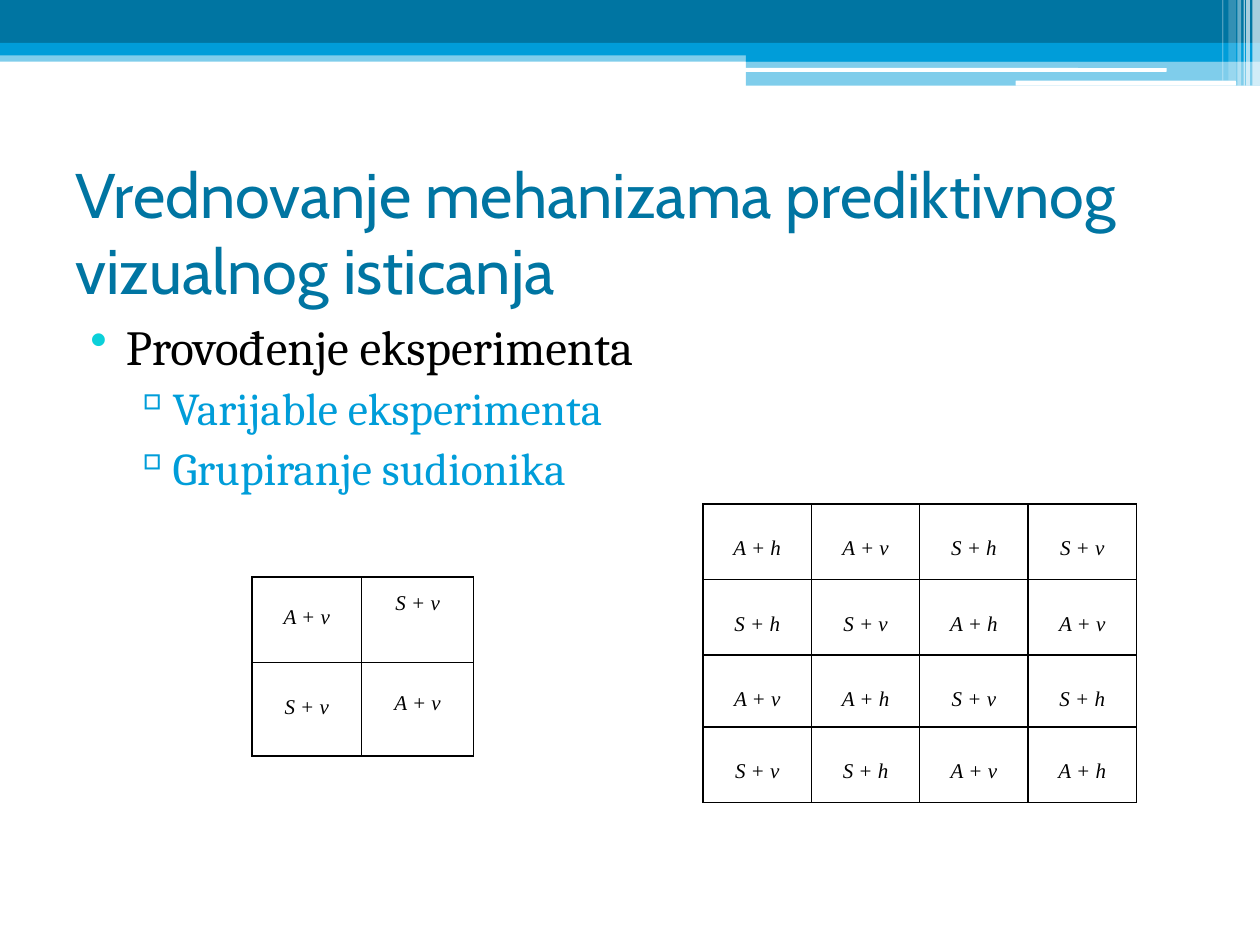
from lxml.etree import SubElement
from pptx import Presentation
from pptx.dml.color import RGBColor as RGB
from pptx.enum.shapes import MSO_SHAPE as SHAPE
from pptx.enum.text import MSO_ANCHOR as ANCHOR, MSO_AUTO_SIZE as AUTO, PP_ALIGN as ALIGN
from pptx.oxml.ns import qn
from pptx.util import Inches, Pt

COLORS = {
    "navy": "0075A2",
    "blue": "009DD9",
    "cyan": "0BD0D9",
    "white": "FFFFFF",
    "black": "000000",
}


class SlideBuilder:
    title_font = "Cabin"
    body_font = "Cambria"
    table_font = "Times New Roman"

    def __init__(self, prs):
        self.s = prs.slides.add_slide(prs.slide_layouts[5])

    def run(self, p, text, font, size, color, italic=False):
        r = p.add_run()
        r.text = text
        r.font.name = font
        r.font.size = Pt(size)
        r.font.italic = italic
        r.font.color.rgb = RGB.from_string(COLORS[color])

    def bar(self, x, y, w, h, color, alpha=100, kind=SHAPE.RECTANGLE):
        sp = self.s.shapes.add_shape(kind, Inches(x), Inches(y), Inches(w), Inches(h))
        sp.shadow.inherit = False
        sp.fill.solid()
        sp.fill.fore_color.rgb = RGB.from_string(COLORS[color])
        sp.line.fill.background()
        if alpha < 100:
            clr = sp.fill._xPr.find(".//" + qn("a:srgbClr"))
            SubElement(clr, qn("a:alpha"), val=str(alpha * 1000))

    def title(self, text, x, y, w, h):
        sp = self.s.shapes.title
        sp.left, sp.top, sp.width, sp.height = (Inches(v) for v in (x, y, w, h))
        tf = sp.text_frame
        tf.auto_size = AUTO.NONE
        tf.vertical_anchor = ANCHOR.MIDDLE
        p = tf.paragraphs[0]
        p.alignment = ALIGN.LEFT
        self.run(p, text, self.title_font, 36, "navy")

    def bullets(self, items, x, y, w, h):
        levels = [
            (0.4, -0.28, "•", "cyan", 28, "black"),
            (0.72, -0.27, "▫", "blue", 26, "blue"),
        ]
        sp = self.s.shapes.add_textbox(Inches(x), Inches(y), Inches(w), Inches(h))
        tf = sp.text_frame
        tf.word_wrap = True
        for i, (level, text) in enumerate(items):
            margin, indent, mark, mark_color, size, color = levels[level]
            p = tf.add_paragraph() if i else tf.paragraphs[0]
            p.level = level
            p.space_before = Pt(3)
            pPr = p._p.get_or_add_pPr()
            pPr.set("marL", str(Inches(margin)))
            pPr.set("indent", str(Inches(indent)))
            bu_clr = SubElement(pPr, qn("a:buClr"))
            SubElement(bu_clr, qn("a:srgbClr"), val=COLORS[mark_color])
            SubElement(pPr, qn("a:buChar"), char=mark)
            self.run(p, text, self.body_font, size, color)

    def border(self, cell):
        tcPr = cell._tc.get_or_add_tcPr()
        for i, side in enumerate(("a:lnL", "a:lnR", "a:lnT", "a:lnB")):
            ln = tcPr.makeelement(qn(side), {"w": str(Pt(1))})
            fill = SubElement(ln, qn("a:solidFill"))
            SubElement(fill, qn("a:srgbClr"), val=COLORS["black"])
            tcPr.insert(i, ln)

    def table(self, x, y, cols, rows, texts, insets):
        tbl = self.s.shapes.add_table(
            len(rows), len(cols), Inches(x), Inches(y),
            Inches(sum(cols)), Inches(sum(rows))).table
        tbl.first_row = tbl.horz_banding = False
        for col, w in zip(tbl.columns, cols):
            col.width = Inches(w)
        for row, h, row_texts, row_insets in zip(tbl.rows, rows, texts, insets):
            row.height = Inches(h)
            for cell, text, inset in zip(row.cells, row_texts, row_insets):
                cell.fill.background()
                cell.margin_left = cell.margin_right = Inches(0.07)
                cell.margin_top, cell.margin_bottom = Inches(inset), 0
                self.border(cell)
                p = cell.text_frame.paragraphs[0]
                p.alignment = ALIGN.CENTER
                self.run(p, text, self.table_font, 12, "black", italic=True)


def main():
    prs = Presentation()
    prs.slide_width, prs.slide_height = Inches(10), Inches(7.5)
    b = SlideBuilder(prs)

    b.bar(0, 0.4, 10, 0.09, "blue", 50)
    b.bar(0, 0, 10, 0.34, "navy")
    b.bar(0, 0.34, 10, 0.1, "blue")
    b.bar(5.92, 0.39, 4.08, 0.1, "blue")
    b.bar(5.92, 0.48, 4.08, 0.2, "blue", 50)
    b.bar(5.91, 0.54, 3.35, 0.03, "white", kind=SHAPE.ROUNDED_RECTANGLE)
    b.bar(8.06, 0.64, 1.75, 0.04, "white", kind=SHAPE.ROUNDED_RECTANGLE)
    stripes = [
        (9.94, 0.06, 0.68, 65), (9.89, 0.03, 0.68, 65), (9.87, 0.01, 0.68, 60),
        (9.82, 0.03, 0.68, 40), (9.75, 0.06, 0.64, 20), (9.7, 0.01, 0.64, 30),
    ]
    for x, w, h, alpha in stripes:
        b.bar(x, 0, w, h, "white", alpha)

    b.title("Vrednovanje mehanizama prediktivnog vizualnog isticanja", 0.5, 1.25, 9, 1.17)
    b.bullets([
        (0, "Provođenje eksperimenta"),
        (1, "Varijable eksperimenta"),
        (1, "Grupiranje sudionika"),
    ], 0.5, 2.46, 9, 4.73)

    b.table(5.58, 4, [0.86] * 4, [0.6, 0.6, 0.57, 0.6], [
        ["A + h", "A + v", "S + h", "S + v"],
        ["S + h", "S + v", "A + h", "A + v"],
        ["A + v", "A + h", "S + v", "S + h"],
        ["S + v", "S + h", "A + v", "A + h"],
    ], [[0.26] * 4] * 4)
    b.table(2, 4.58, [0.87, 0.89], [0.68, 0.74], [
        ["A + v", "S + v"],
        ["S + v", "A + v"],
    ], [[0.23, 0.12], [0.26, 0.23]])

    prs.save("out.pptx")


if __name__ == "__main__":
    main()
